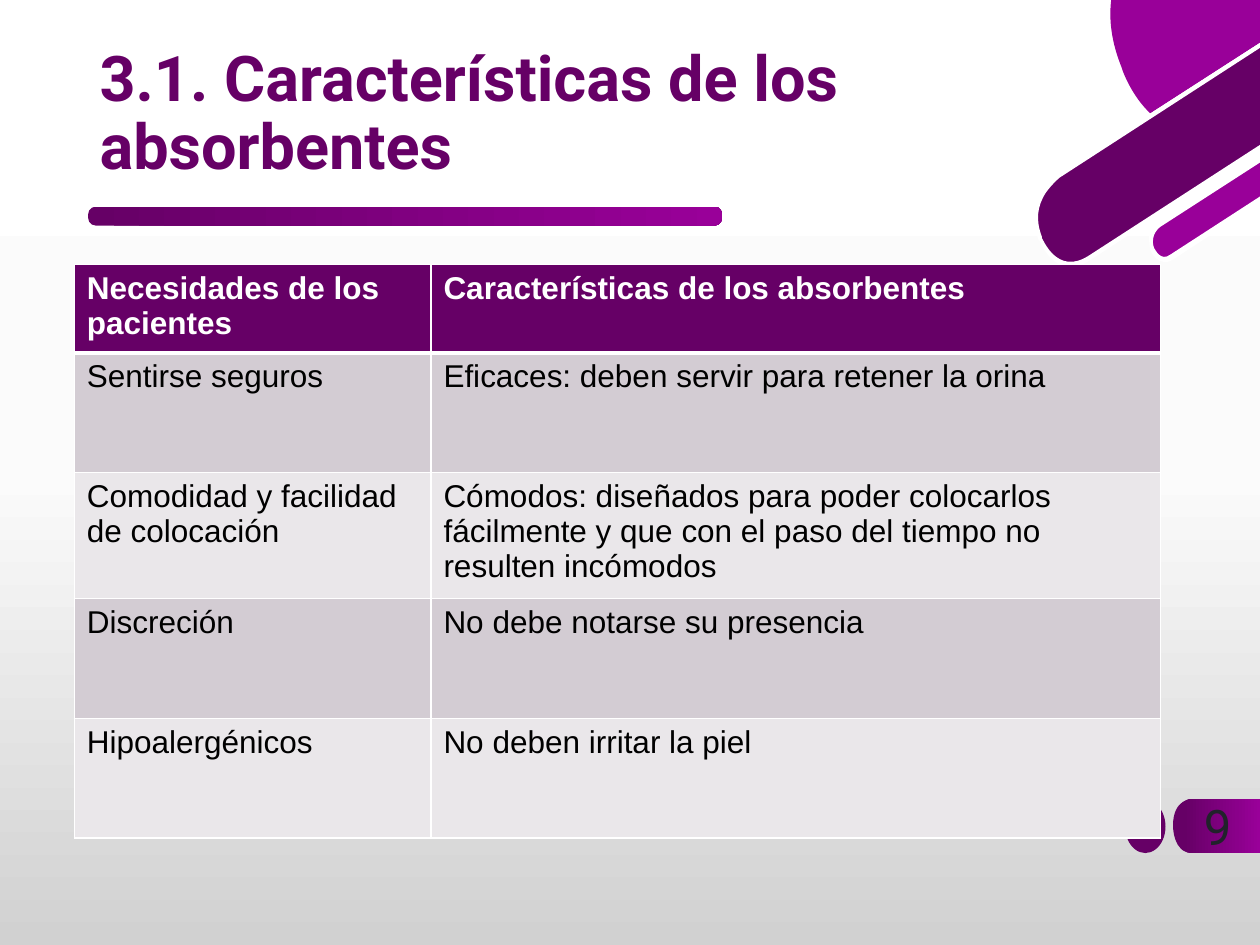
import copy
from typing import NamedTuple

import lxml.etree
import pptx
import pptx.dml.color
import pptx.enum.shapes
import pptx.enum.text
import pptx.oxml.ns
import pptx.util

Inches = pptx.util.Inches
Pt = pptx.util.Pt
qn = pptx.oxml.ns.qn

PURPLE = "660066"
MAGENTA = "990099"
WHITE = "FFFFFF"
BLACK = "000000"


class Outline(NamedTuple):
    """Closed outline in inches, written with M, L and C commands."""
    color: str
    commands: str


CORNER = [
    Outline(WHITE, "M 9.99 .81 L 9.79 .94 C 9.55 1.1 9.33 1.08 9.14 .89 C 9 .74 8.92 .55 8.92 .55 "
                   "L 8.91 .52 C 8.84 .34 8.81 .16 8.83 0 L 8.8 0 C 8.79 .17 8.81 .35 8.88 .54 "
                   "L 8.89 .57 C 8.9 .58 8.97 .77 9.12 .92 C 9.21 1.01 9.33 1.09 9.48 1.09 "
                   "C 9.58 1.09 9.69 1.06 9.81 .98 L 9.99 .86"),
    Outline(PURPLE, "M 8.41 1.39 C 8.41 1.39 8.13 1.57 8.26 1.89 L 8.26 1.9 "
                    "C 8.26 1.9 8.38 2.22 8.65 2.04 L 10 1.17 L 10 .36"),
    Outline(MAGENTA, "M 8.91 .56 C 8.91 .56 8.98 .76 9.13 .9 L 10 .34 L 10 0 L 8.82 0 "
                     "C 8.8 .15 8.82 .33 8.9 .53"),
    Outline(MAGENTA, "M 10 1.26 L 9.2 1.78 C 9.2 1.78 9.1 1.85 9.15 1.97 L 9.15 1.98 "
                     "C 9.15 1.98 9.2 2.11 9.3 2.04 L 10 1.58"),
    Outline(WHITE, "M 9.29 2.02 C 9.21 2.08 9.17 1.98 9.16 1.97 C 9.12 1.86 9.21 1.8 9.21 1.8 "
                   "L 10 1.29 L 10 1.24 L 9.2 1.76 C 9.2 1.76 9.14 1.8 9.12 1.87 "
                   "C 9.12 1.91 9.12 1.95 9.13 1.99 C 9.15 2.03 9.19 2.08 9.24 2.08 "
                   "C 9.26 2.08 9.28 2.08 9.31 2.06 L 10 1.61 L 10 1.56"),
    Outline(WHITE, "M 8.64 2.03 C 8.39 2.19 8.28 1.9 8.27 1.89 L 8.27 1.88 "
                   "C 8.22 1.75 8.23 1.64 8.3 1.53 C 8.35 1.46 8.41 1.41 8.41 1.41 L 10 .38 "
                   "L 10 .34 L 8.4 1.37 C 8.39 1.38 8.26 1.46 8.22 1.63 "
                   "C 8.2 1.71 8.21 1.8 8.24 1.9 L 8.25 1.91 C 8.25 1.91 8.33 2.12 8.5 2.12 "
                   "C 8.54 2.12 8.6 2.1 8.66 2.06 L 10 1.19 L 10 1.15"),
]
NUMBER_TAB = Outline(PURPLE, "M 9.46 6.77 L 10 6.77 L 10 6.34 L 9.46 6.34 "
                             "C 9.46 6.34 9.31 6.34 9.31 6.55 L 9.31 6.56 "
                             "C 9.31 6.56 9.31 6.77 9.46 6.77")

ROWS = [
    ("Necesidades de los pacientes", "Características de los absorbentes"),
    ("Sentirse seguros", "Eficaces: deben servir para retener la orina"),
    ("Comodidad y facilidad de colocación",
     "Cómodos: diseñados para poder colocarlos fácilmente y que con el paso del tiempo "
     "no resulten incómodos"),
    ("Discreción", "No debe notarse su presencia"),
    ("Hipoalergénicos", "No deben irritar la piel"),
]
COLUMN_WIDTHS = [2.83, 5.79]
HEADER_HEIGHT, ROW_HEIGHT = 0.68, 0.95


def rgb(color: str) -> pptx.dml.color.RGBColor:
    return pptx.dml.color.RGBColor.from_string(color)


def solid(fill, color: str) -> None:
    fill.solid()
    fill.fore_color.rgb = rgb(color)


def gradient(fill, stops: list[tuple[float, str]], angle: int) -> None:
    fill.gradient()
    fill.gradient_angle = angle
    first = fill.gradient_stops[0]._gs
    while len(fill.gradient_stops) < len(stops):
        first.addnext(copy.deepcopy(first))
    for stop, (position, color) in zip(fill.gradient_stops, stops):
        stop.position = position
        stop.color.rgb = rgb(color)


def plain(shape) -> None:
    shape.shadow.inherit = False
    shape.line.fill.background()


def add_outline(slide, outline: Outline):
    """Draw every point as a line end, then join each curve's three points into a Bézier."""
    tokens = iter(outline.commands.split())
    points, curve_starts = [], []
    for command in tokens:
        if command == "C":
            curve_starts.append(len(points))
        for _ in range(3 if command == "C" else 1):
            points.append((Inches(float(next(tokens))), Inches(float(next(tokens)))))
    builder = slide.shapes.build_freeform(*points[0])
    builder.add_line_segments(points[1:], close=True)
    shape = builder.convert_to_shape()
    segments = list(next(shape._element.iter(qn("a:path"))))
    for start in curve_starts:
        curve = lxml.etree.Element(qn("a:cubicBezTo"))
        segments[start].addprevious(curve)
        for segment in segments[start:start + 3]:
            curve.append(segment[0])
            segment.getparent().remove(segment)
    plain(shape)
    solid(shape.fill, outline.color)
    return shape


def format_text(paragraph, font_name: str, size: float, color: str, bold: bool = False) -> None:
    for run in paragraph.runs:
        run.font.name = font_name
        run.font.size = Pt(size)
        run.font.bold = bold
        run.font.color.rgb = rgb(color)


def set_borders(cell, top_width: float, bottom_width: float) -> None:
    properties = cell._tc.get_or_add_tcPr()
    widths = {"lnL": 1, "lnR": 1, "lnT": top_width, "lnB": bottom_width}
    for index, (side, width) in enumerate(widths.items()):
        line = lxml.etree.Element(qn(f"a:{side}"), w=str(Pt(width)))
        fill = lxml.etree.SubElement(line, qn("a:solidFill"))
        lxml.etree.SubElement(fill, qn("a:srgbClr"), val=WHITE)
        properties.insert(index, line)


def add_decoration(slide) -> None:
    dot = slide.shapes.add_shape(pptx.enum.shapes.MSO_SHAPE.OVAL,
                                 Inches(8.93), Inches(6.35), Inches(0.32), Inches(0.42))
    plain(dot)
    solid(dot.fill, PURPLE)
    tab = add_outline(slide, NUMBER_TAB)
    gradient(tab.fill, [(0.12, PURPLE), (1, MAGENTA)], 0)
    for outline in CORNER:
        add_outline(slide, outline)
    bar = slide.shapes.add_shape(pptx.enum.shapes.MSO_SHAPE.ROUNDED_RECTANGLE,
                                 Inches(0.7), Inches(1.64), Inches(5.03), Inches(0.15))
    bar.adjustments[0] = 0.4
    plain(bar)
    gradient(bar.fill, [(0, PURPLE), (1, MAGENTA)], 0)


def add_title(slide) -> None:
    title = slide.shapes.title
    title.left, title.top = Inches(0.69), Inches(0.4)
    title.width, title.height = Inches(7.42), Inches(1.03)
    frame = title.text_frame
    frame.text = "3.1. Características de los absorbentes"
    frame.vertical_anchor = pptx.enum.text.MSO_ANCHOR.MIDDLE
    frame.auto_size = pptx.enum.text.MSO_AUTO_SIZE.NONE
    paragraph = frame.paragraphs[0]
    paragraph.alignment = pptx.enum.text.PP_ALIGN.LEFT
    paragraph.line_spacing = 0.9
    format_text(paragraph, "Roboto", 36, PURPLE, bold=True)


def add_slide_number(slide) -> None:
    box = slide.shapes.add_textbox(Inches(9.33), Inches(6.27), Inches(0.67), Inches(0.57))
    frame = box.text_frame
    frame.word_wrap = True
    frame.auto_size = pptx.enum.text.MSO_AUTO_SIZE.SHAPE_TO_FIT_TEXT
    frame.text = "9"
    frame.paragraphs[0].alignment = pptx.enum.text.PP_ALIGN.CENTER
    format_text(frame.paragraphs[0], "Roboto", 28, "21222B")


def add_needs_table(slide) -> None:
    height = HEADER_HEIGHT + ROW_HEIGHT * (len(ROWS) - 1)
    table = slide.shapes.add_table(len(ROWS), len(COLUMN_WIDTHS), Inches(0.59), Inches(2.1),
                                   Inches(sum(COLUMN_WIDTHS)), Inches(height)).table
    for column, width in zip(table.columns, COLUMN_WIDTHS):
        column.width = Inches(width)
    for row_index, texts in enumerate(ROWS):
        header = row_index == 0
        table.rows[row_index].height = Inches(HEADER_HEIGHT if header else ROW_HEIGHT)
        fill = PURPLE if header else ("EAE7EA", "D3CCD3")[row_index % 2]
        for column_index, text in enumerate(texts):
            cell = table.cell(row_index, column_index)
            cell.text_frame.text = text
            format_text(cell.text_frame.paragraphs[0], "Arial", 18,
                        WHITE if header else BLACK, bold=header)
            solid(cell.fill, fill)
            set_borders(cell, 3 if row_index == 1 else 1, 3 if header else 1)


def main() -> None:
    presentation = pptx.Presentation()
    presentation.slide_width, presentation.slide_height = Inches(10), Inches(7.5)
    slide = presentation.slides.add_slide(presentation.slide_layouts[5])
    gradient(slide.background.fill, [(0, WHITE), (0.5, "FBFBFB"), (1, "D1D1D1")], 270)
    add_decoration(slide)
    add_title(slide)
    add_slide_number(slide)
    add_needs_table(slide)
    presentation.save("out.pptx")


if __name__ == "__main__":
    main()
